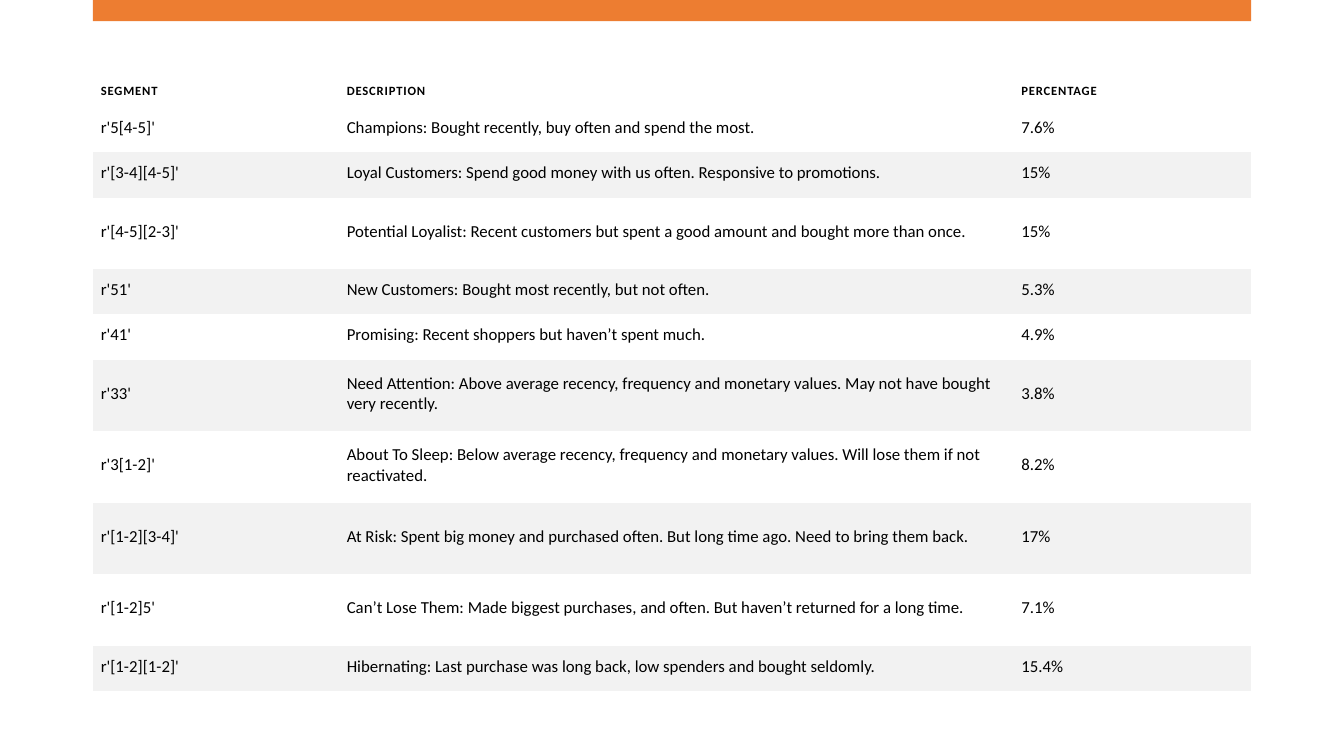
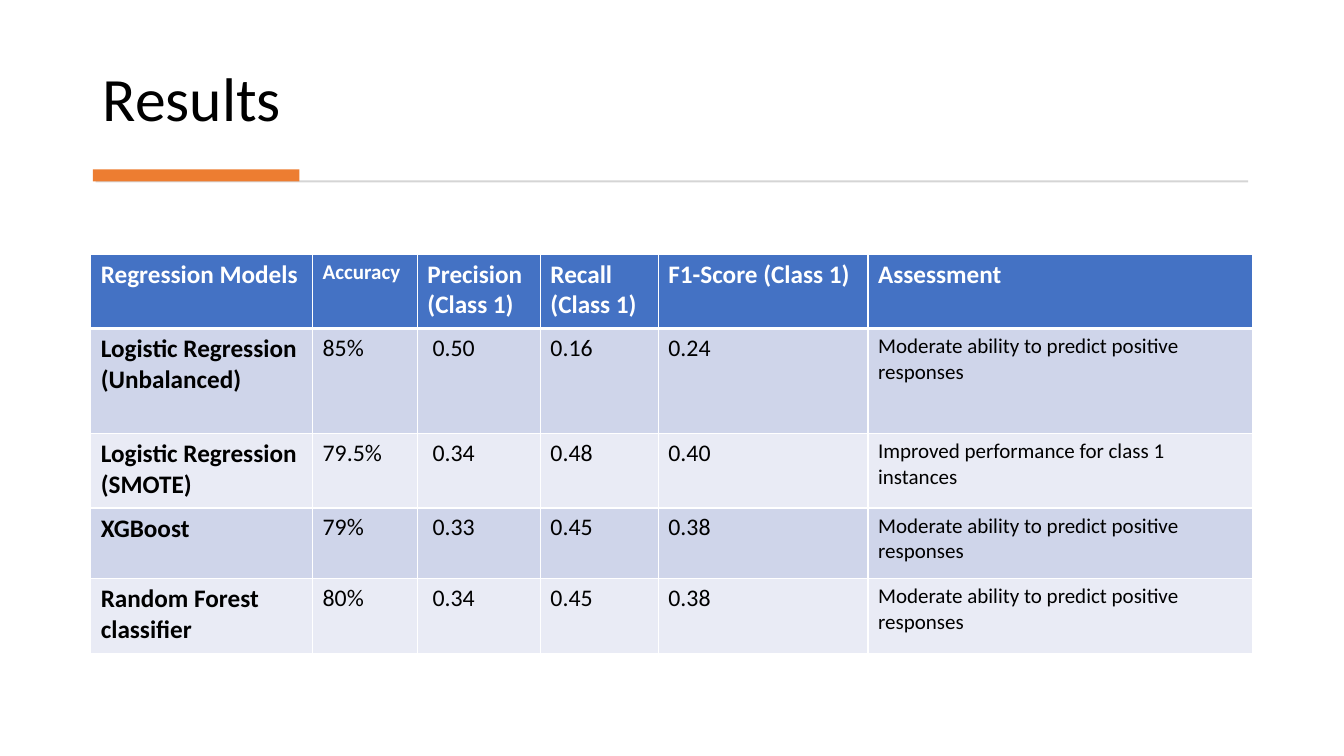
import pptx
import pptx.util
import pptx.dml.color
import pptx.enum.shapes
import pptx.enum.text
import pptx.oxml
import pptx.oxml.ns

Inches = pptx.util.Inches
Pt = pptx.util.Pt
ANCHOR = pptx.enum.text.MSO_ANCHOR
ALIGN = pptx.enum.text.PP_ALIGN

FONT = "Calibri"
BLACK, WHITE, ORANGE, RULE = "000000", "FFFFFF", "ED7D31", "D5D5D5"
LEFT, WIDTH = 0.92, 11.49

SEGMENTS = [
    ("SEGMENT", "DESCRIPTION", "PERCENTAGE"),
    ("r'5[4-5]'", "Champions: Bought recently, buy often and spend the most.", "7.6%"),
    ("r'[3-4][4-5]'", "Loyal Customers: Spend good money with us often. Responsive to promotions.", "15%"),
    ("r'[4-5][2-3]'", "Potential Loyalist: Recent customers but spent a good amount and bought more than once.", "15%"),
    ("r'51'", "New Customers: Bought most recently, but not often.", "5.3%"),
    ("r'41'", "Promising: Recent shoppers but haven’t spent much.", "4.9%"),
    ("r'33'", "Need Attention: Above average recency, frequency and monetary values. "
              "May not have bought very recently.", "3.8%"),
    ("r'3[1-2]'", "About To Sleep: Below average recency, frequency and monetary values. "
                  "Will lose them if not reactivated.", "8.2%"),
    ("r'[1-2][3-4]'", "At Risk: Spent big money and purchased often. But long time ago. Need to bring them back.", "17%"),
    ("r'[1-2]5'", "Can’t Lose Them: Made biggest purchases, and often. But haven’t returned for a long time.", "7.1%"),
    ("r'[1-2][1-2]'", "Hibernating: Last purchase was long back, low spenders and bought seldomly.", "15.4%"),
]
SEGMENT_COLUMNS = [2.44, 6.69, 2.36]
SHORT, TALL = 0.45, 0.71
SEGMENT_ROWS = [0.43] + [SHORT] * 2 + [TALL] + [SHORT] * 2 + [TALL] * 4 + [SHORT]

MODERATE = "Moderate ability to predict positive responses"
IMPROVED = "Improved performance for class 1 instances"
RESULTS = [
    ("Regression Models", "Accuracy", "Precision (Class 1)", "Recall (Class 1)", "F1-Score (Class 1)", "Assessment"),
    ("Logistic Regression\n(Unbalanced)", "85%", "0.50", "0.16", "0.24", MODERATE),
    ("Logistic Regression (SMOTE)", "79.5%", "0.34", "0.48", "0.40", IMPROVED),
    ("XGBoost", "79%", "0.33", "0.45", "0.38", MODERATE),
    ("Random Forest classifier", "80%", "0.34", "0.45", "0.38", MODERATE),
]
RESULT_COLUMNS = [2.2, 1.04, 1.22, 1.17, 2.08, 3.81]
RESULT_ROWS = [0.74, 1.04, 0.74, 0.7, 0.74]


def color(value):
    return pptx.dml.color.RGBColor.from_string(value)


def set_all(target, values):
    for name, value in values.items():
        setattr(target, name, value)


def write(frame, text, size, ink=BLACK, bold=False, align=ALIGN.LEFT, line_spacing=1.0, tracking=0):
    for index, line in enumerate(text.split("\n")):
        para = frame.add_paragraph() if index else frame.paragraphs[0]
        set_all(para, {"alignment": align, "line_spacing": line_spacing})
        span = para.add_run()
        span.text = line
        set_all(span.font, {"name": FONT, "size": Pt(size), "bold": bold})
        span.font.color.rgb = color(ink)
        if tracking:
            span.font._element.set("spc", str(int(tracking * 100)))


def add_bar(page, left, top, width, height, fill):
    bar = page.shapes.add_shape(pptx.enum.shapes.MSO_SHAPE.RECTANGLE,
                                Inches(left), Inches(top), Inches(width), Inches(height))
    bar.shadow.inherit = False
    bar.fill.solid()
    bar.fill.fore_color.rgb = color(fill)
    bar.line.fill.background()


def set_borders(cell, widths):
    properties = cell._tc.get_or_add_tcPr()
    for side, width in zip("LRTB", widths):
        paint = f'<a:solidFill><a:srgbClr val="{WHITE}"/></a:solidFill>' if width else "<a:noFill/>"
        properties.append(pptx.oxml.parse_xml(
            f'<a:ln{side} {pptx.oxml.ns.nsdecls("a")} w="{Pt(width)}">{paint}</a:ln{side}>'))


def add_grid(page, left, top, rows, widths, heights, style):
    table = page.shapes.add_table(len(rows), len(widths), Inches(left), Inches(top),
                                  Inches(sum(widths)), Inches(sum(heights))).table
    for column, width in zip(table.columns, widths):
        column.width = Inches(width)
    for row, height in zip(table.rows, heights):
        row.height = Inches(height)
    for r, texts in enumerate(rows):
        for c, text in enumerate(texts):
            cell = table.cell(r, c)
            look = style(r, c)
            set_borders(cell, look["borders"])
            if look["fill"]:
                cell.fill.solid()
                cell.fill.fore_color.rgb = color(look["fill"])
            else:
                cell.fill.background()
            sides = ("margin_left", "margin_top", "margin_right", "margin_bottom")
            set_all(cell, dict(zip(sides, map(Inches, look["margins"]))))
            cell.vertical_anchor = look["anchor"]
            write(cell.text_frame, text, **look["text"])


def segment_style(r, c):
    header = r == 0
    return {
        "borders": (0, 0, 0, 0),
        "fill": "F2F2F2" if r and r % 2 == 0 else None,
        "margins": (0.08, 0.08 if header else 0.04, 0.08, 0.08),
        "anchor": ANCHOR.BOTTOM if header else ANCHOR.MIDDLE,
        "text": {"size": 9, "bold": True, "tracking": 0.6} if header else {"size": 12},
    }


def result_style(r, c):
    if r == 0:
        text = {"size": 15 if c == 1 else 18, "ink": WHITE, "bold": True, "align": ALIGN.JUSTIFY}
    else:
        text = {"size": {0: 18, 5: 15}.get(c, 17), "bold": c == 0}
    return {
        "borders": (1, 1, 3 if r == 1 else 1, 3 if r == 0 else 1),
        "fill": "4472C4" if r == 0 else ("E9EBF5", "CFD5EA")[r % 2],
        "margins": (0.15 if r and c == 2 else 0.1, 0.05, 0.1, 0.05),
        "anchor": ANCHOR.TOP,
        "text": text,
    }


def add_title(page, text):
    box = page.shapes.add_textbox(Inches(LEFT), Inches(0.28), Inches(WIDTH), Inches(1.11))
    set_all(box.text_frame, {"word_wrap": True, "vertical_anchor": ANCHOR.BOTTOM})
    write(box.text_frame, text, 44, line_spacing=0.9)
    add_bar(page, 0.95, 1.79, 11.43, 0.02, RULE)
    add_bar(page, LEFT, 1.68, 2.05, 0.12, ORANGE)


def main():
    deck = pptx.Presentation()
    set_all(deck, {"slide_width": Inches(13.33), "slide_height": Inches(7.5)})
    blank = deck.slide_layouts[6]

    page = deck.slides.add_slide(blank)
    add_bar(page, LEFT, 0, WIDTH, 0.21, ORANGE)
    add_grid(page, LEFT, 0.63, SEGMENTS, SEGMENT_COLUMNS, SEGMENT_ROWS, segment_style)

    page = deck.slides.add_slide(blank)
    add_title(page, "Results")
    add_grid(page, 0.9, 2.52, RESULTS, RESULT_COLUMNS, RESULT_ROWS, result_style)

    deck.save("out.pptx")


if __name__ == "__main__":
    main()
